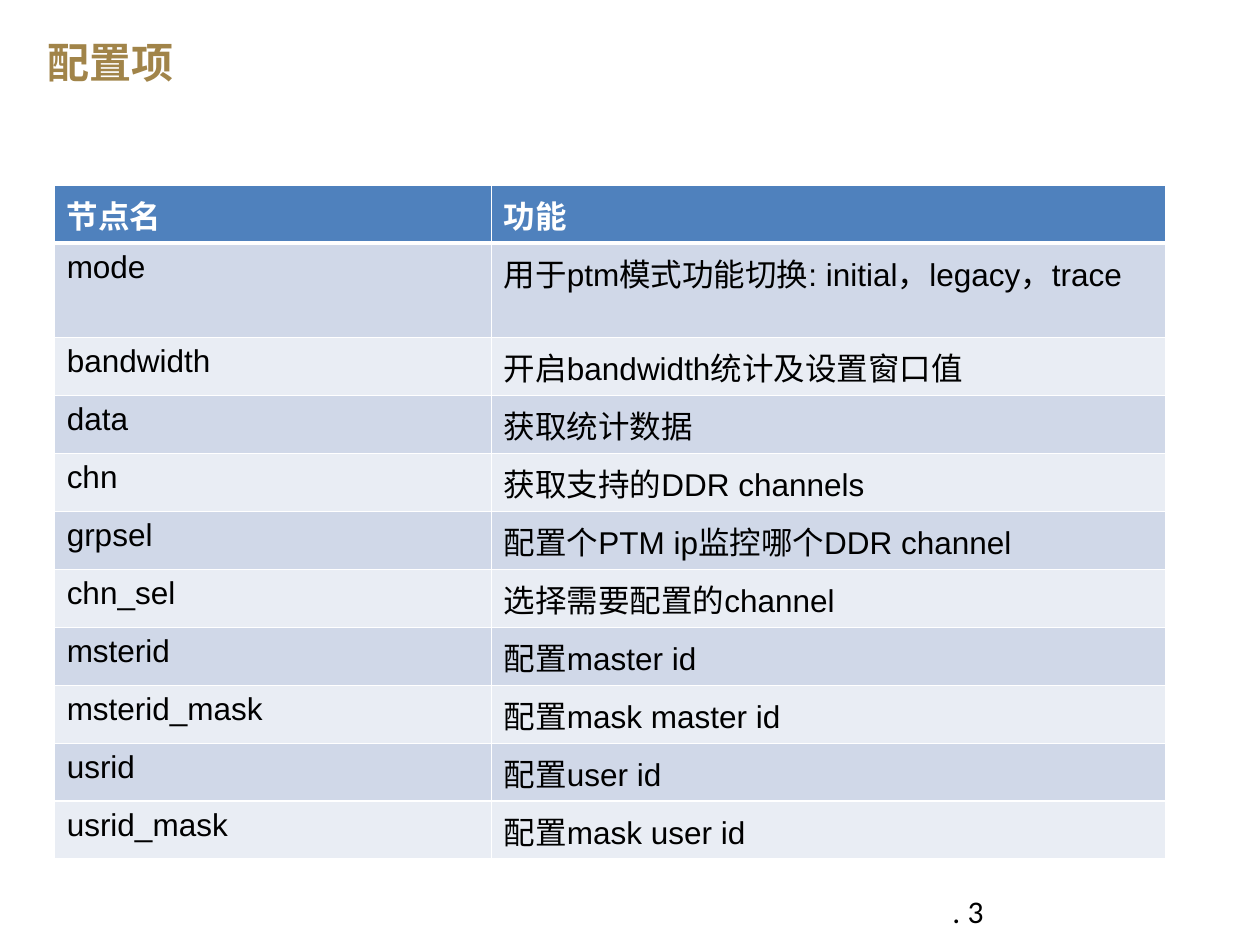
from lxml import etree
from pptx import Presentation
from pptx.dml.color import RGBColor
from pptx.enum.text import MSO_ANCHOR, PP_ALIGN
from pptx.oxml.ns import qn
from pptx.util import Pt

PX = 9144  # 100 px to the inch
TOP, LEFT = MSO_ANCHOR.TOP, PP_ALIGN.LEFT
GOLD = RGBColor(0xA1, 0x84, 0x49)
BLACK = RGBColor(0, 0, 0)
WHITE = RGBColor(0xFF, 0xFF, 0xFF)
HEADER_BLUE = RGBColor(0x4F, 0x81, 0xBD)
BANDS = [RGBColor(0xE9, 0xED, 0xF4), RGBColor(0xD0, 0xD8, 0xE8)]
CJK_FONT = "Noto Sans CJK SC"

ROWS = [
    ("节点名", "功能"),
    ("mode", "用于ptm模式功能切换: initial，legacy，trace"),
    ("bandwidth", "开启bandwidth统计及设置窗口值"),
    ("data", "获取统计数据"),
    ("chn", "获取支持的DDR channels"),
    ("grpsel", "配置个PTM ip监控哪个DDR channel"),
    ("chn_sel", "选择需要配置的channel"),
    ("msterid", "配置master id"),
    ("msterid_mask", "配置mask master id"),
    ("usrid", "配置user id"),
    ("usrid_mask", "配置mask user id"),
]
COLUMN_WIDTHS = [347, 535]
ROW_HEIGHTS = [46, 75] + [46] * (len(ROWS) - 2)


def write(frame, text, size=18, font="Arial", color=BLACK, bold=False):
    para = frame.paragraphs[0]
    para.alignment = LEFT
    span = para.add_run()
    span.text = text
    span.font.size = Pt(size)
    span.font.name = font
    span.font.bold = bold
    span.font.color.rgb = color
    etree.SubElement(span.font._element, qn("a:ea"), typeface=CJK_FONT)


def add_borders(cell, **widths):
    """Draw white cell borders; widths in points, keyed L, R, T, B."""
    properties = cell._tc.get_or_add_tcPr()
    for index, (side, width) in enumerate(widths.items()):
        line = etree.Element(qn(f"a:ln{side}"), w=str(Pt(width)))
        fill = etree.SubElement(line, qn("a:solidFill"))
        etree.SubElement(fill, qn("a:srgbClr"), val=str(WHITE))
        properties.insert(index, line)


deck = Presentation()
deck.slide_width, deck.slide_height = 1000 * PX, 750 * PX
page = deck.slides.add_slide(deck.slide_layouts[5])

title = page.shapes.title
title.left, title.top, title.width, title.height = 29 * PX, 23 * PX, 668 * PX, 61 * PX
title.text_frame.vertical_anchor = TOP
title.text_frame.margin_left = 9 * PX
title.text_frame.margin_top = 6 * PX
write(title.text_frame, "配置项", size=24, font=CJK_FONT, color=GOLD, bold=True)

page_number = page.shapes.add_textbox(735 * PX, 703 * PX, 233 * PX, 31 * PX)
page_number.text_frame.word_wrap = True
page_number.text_frame.margin_left = 21 * PX
write(page_number.text_frame, ". 3", font="Calibri")

table = page.shapes.add_table(
    len(ROWS), len(COLUMN_WIDTHS),
    43 * PX, 147 * PX, sum(COLUMN_WIDTHS) * PX, sum(ROW_HEIGHTS) * PX,
).table
for column, width in zip(table.columns, COLUMN_WIDTHS):
    column.width = width * PX
for row, height in zip(table.rows, ROW_HEIGHTS):
    row.height = height * PX

for row_index, texts in enumerate(ROWS):
    header = row_index == 0
    for column_index, text in enumerate(texts):
        cell = table.cell(row_index, column_index)
        cell.fill.solid()
        cell.fill.fore_color.rgb = HEADER_BLUE if header else BANDS[row_index % 2]
        add_borders(cell, L=1, R=1, T=3 if row_index == 1 else 1, B=3 if header else 1)
        write(cell.text_frame, text, color=WHITE if header else BLACK, bold=header)

deck.save("out.pptx")
